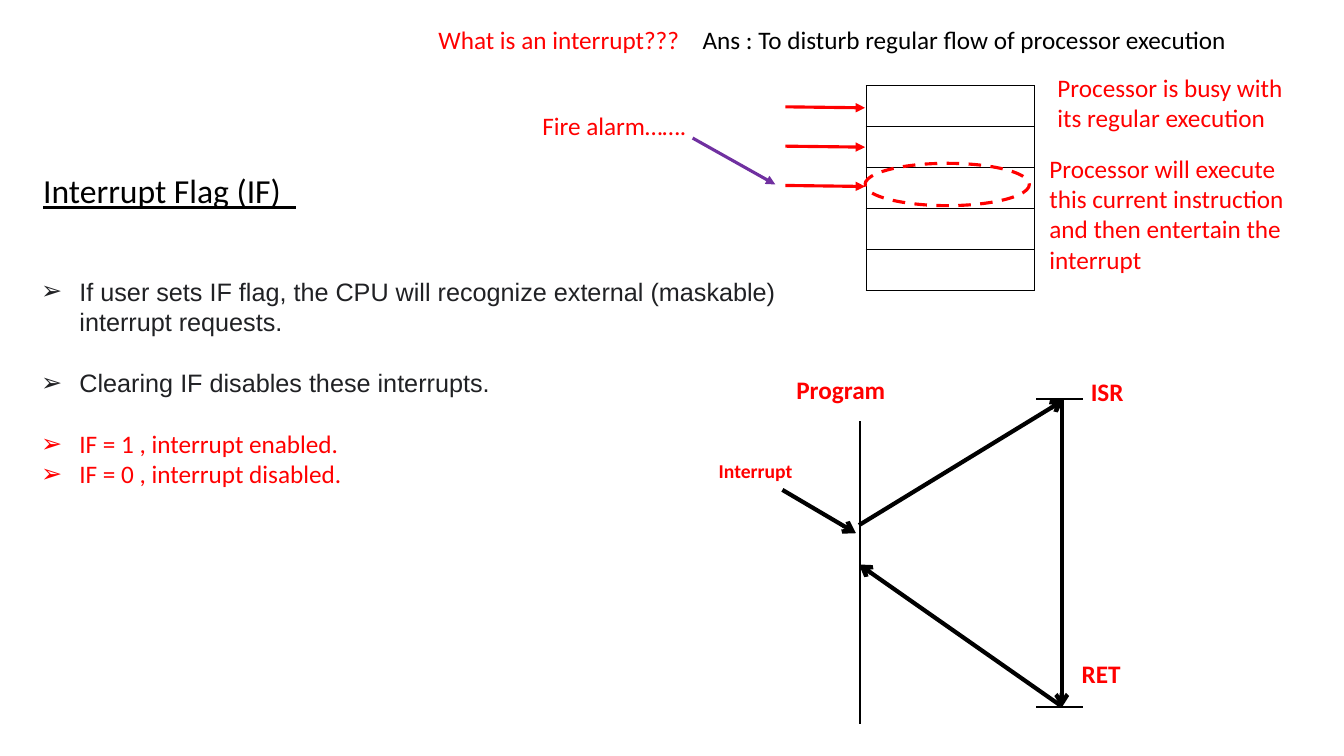
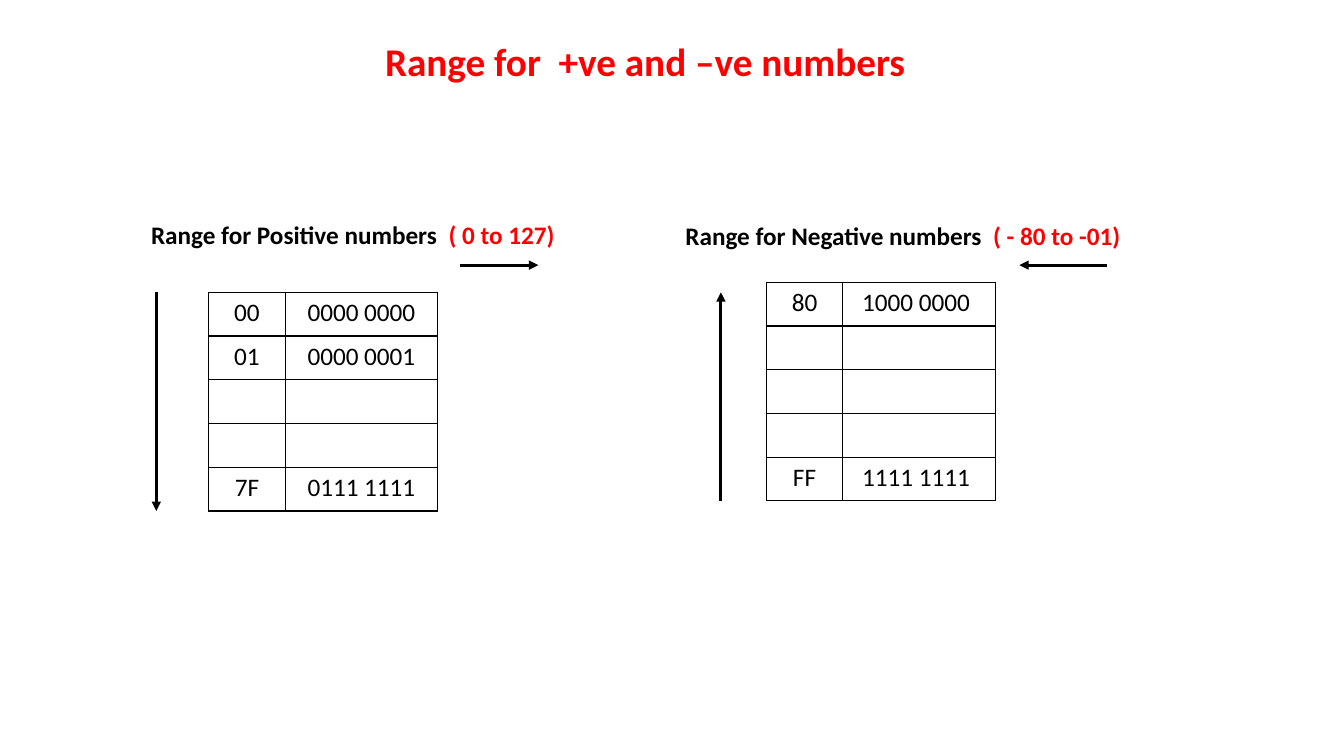
from lxml.etree import SubElement
from pptx import Presentation
from pptx.dml.color import RGBColor
from pptx.enum.dml import MSO_LINE
from pptx.enum.shapes import MSO_CONNECTOR, MSO_SHAPE
from pptx.enum.text import PP_ALIGN
from pptx.oxml.ns import qn
from pptx.util import Pt

PX = 9144  # EMU; 100 px to the inch
BLACK = RGBColor(0x00, 0x00, 0x00)
RED = RGBColor(0xFF, 0x00, 0x00)
PURPLE = RGBColor(0x70, 0x30, 0xA0)
CHARCOAL = RGBColor(0x20, 0x21, 0x24)
BODY_FONT = "Calibri"


def px(*lengths):
    return [length * PX for length in lengths]


def style(font, color=BLACK, size=18, bold=False, name=BODY_FONT):
    font.name, font.size, font.bold = name, Pt(size), bold
    font.color.rgb = color


def add_text(page, box, text, **look):
    """Place a one-paragraph text box and return its paragraph."""
    frame = page.shapes.add_textbox(*px(*box)).text_frame
    frame.word_wrap = True
    para = frame.paragraphs[0]
    para.text = text
    style(para.font, **look)
    return para


def add_line(page, start, end, color=BLACK, width=2.25, head=None):
    line = page.shapes.add_connector(MSO_CONNECTOR.STRAIGHT, *px(*start, *end))
    line.line.color.rgb = color
    line.line.width = Pt(width)
    if head:
        SubElement(line.line._get_or_add_ln(), qn("a:tailEnd"), type=head)
    SubElement(line._element.spPr, qn("a:effectLst"))


def add_borders(cell):
    properties = cell._tc.get_or_add_tcPr()
    for index, side in enumerate(("lnL", "lnR", "lnT", "lnB")):
        border = SubElement(properties, qn(f"a:{side}"), w=str(Pt(1)))
        fill = SubElement(border, qn("a:solidFill"))
        SubElement(fill, qn("a:srgbClr"), val=str(BLACK))
        properties.insert(index, border)


def add_grid(page, left, top, widths, height, rows):
    """Place a bordered, unfilled table with centred text and equal rows."""
    table = page.shapes.add_table(
        len(rows), len(widths), *px(left, top, sum(widths), height)).table
    table.first_row = table.horz_banding = False
    for column, width in zip(table.columns, widths):
        column.width = width * PX
    for row, texts in zip(table.rows, rows):
        row.height = height * PX // len(rows)
        for cell, text in zip(row.cells, texts):
            cell.fill.background()
            add_borders(cell)
            para = cell.text_frame.paragraphs[0]
            para.text = text
            para.alignment = PP_ALIGN.CENTER
            style(para.font)


def add_bullets(page, box, items):
    """Place bullets given as (text, colour, font name, space before)."""
    frame = page.shapes.add_textbox(*px(*box)).text_frame
    frame.word_wrap = True
    for index, (text, color, name, space) in enumerate(items):
        para = frame.add_paragraph() if index else frame.paragraphs[0]
        para.text = text
        para.space_before = Pt(space)
        style(para.font, color, name=name)
        properties = para._p.get_or_add_pPr()
        properties.set("marL", str(38 * PX))
        properties.set("indent", str(-38 * PX))
        bullet_font = SubElement(properties, qn("a:buFont"), typeface="Arial")
        bullet = SubElement(properties, qn("a:buChar"), char="➢")
        defaults = properties.find(qn("a:defRPr"))
        defaults.addprevious(bullet_font)
        defaults.addprevious(bullet)


def add_instruction_stack(page, left, top):
    """Instructions in memory, with the one that the alarm interrupts."""
    add_grid(page, left, top, [167], 203, [[""]] * 5)
    for row in range(3):
        y = top + 21 + row * 39
        add_line(page, (left - 80, y), (left - 1, y + 1), RED, head="triangle")
    add_line(page, (left - 172, top + 52), (left - 90, top + 98), PURPLE,
             head="triangle")
    add_text(page, (left - 331, top + 20, 175, 40), "Fire alarm…….", color=RED)
    current = page.shapes.add_shape(
        MSO_SHAPE.OVAL, *px(left - 1, top + 77, 163, 42))
    current.shadow.inherit = False
    current.fill.background()
    current.line.color.rgb = RED
    current.line.width = Pt(2.25)
    current.line.dash_style = MSO_LINE.DASH
    add_text(page, (left + 180, top - 18, 270, 71),
             "Processor is busy with its regular execution", color=RED)
    add_text(page, (left + 172, top + 62, 270, 131),
             "Processor will execute this current instruction "
             "and then entertain the interrupt", color=RED)


def add_service_flow(page, left, top):
    """Jump from the program to the service routine and back."""
    program, routine = left + 150, left + 350
    start, end = top + 30, top + 335
    call, resume = top + 155, top + 195
    add_line(page, (program, top + 52), (program, top + 352), width=1.5)
    for y in (start, end):
        add_line(page, (routine - 25, y), (routine + 21, y), width=1.5)
    for tail, tip in (
        ((program - 77, top + 120), (program - 4, top + 163)),
        ((program - 1, call), (routine + 2, start + 1)),
        ((routine, start - 1), (routine, end + 1)),
        ((routine - 1, end - 1), (program - 1, resume - 1)),
    ):
        add_line(page, tail, tip, width=3, head="arrow")
    for text, x, y, width, size in (
        ("Program", 77, 0, 203, 18),
        ("ISR", 369, 2, 122, 18),
        ("RET", 360, 282, 122, 18),
        ("Interrupt", 0, 84, 101, 14),
    ):
        add_text(page, (left + x, top + y, width, 42), text,
                 color=RED, size=size, bold=True)


def build_interrupt_page(page):
    title = add_text(page, (33, 164, 281, 50), "Interrupt Flag (IF)  ", size=24)
    title.font.underline = True
    add_text(page, (425, 19, 262, 40), "What is an interrupt???", color=RED)
    add_text(page, (687, 19, 622, 40),
             "Ans : To disturb regular flow of processor execution")
    add_instruction_stack(page, 859, 85)
    add_service_flow(page, 703, 366)
    add_bullets(page, (31, 269, 810, 222), [
        ("If user sets IF flag, the CPU will recognize external (maskable) "
         "interrupt requests.", CHARCOAL, "Arial", 0),
        ("Clearing IF disables these interrupts.", CHARCOAL, "Arial", 22),
        ("IF = 1 , interrupt enabled.", RED, BODY_FONT, 22),
        ("IF = 0 , interrupt disabled.", RED, BODY_FONT, 0),
    ])


def add_range(page, left, top, heading, grid, arrows, first, last):
    """Heading, five-row table and arrows, placed from the heading's corner."""
    label, limits = heading
    para = add_text(page, (left, top, 459, 40), label, bold=True)
    span = para.add_run()
    span.text = limits
    span.font.color.rgb = RED
    gap = [("", "")] * (5 - len(first) - len(last))
    add_grid(page, left + grid[0], top + grid[1], [76, 151], 217,
             first + gap + last)
    for x1, y1, x2, y2 in arrows:
        add_line(page, (left + x1, top + y1), (left + x2, top + y2),
                 head="triangle")


def build_range_page(page):
    add_text(page, (372, 32, 589, 57), "Range for  +ve and –ve numbers",
             color=RED, size=28, bold=True)
    add_range(
        page, 140, 213, ("Range for Positive numbers  ", "( 0 to 127)"),
        (67, 77), [(316, 50, 394, 50), (15, 77, 15, 294)],
        [("00", "0000 0000"), ("01", "0000 0001")], [("7F", "0111 1111")])
    add_range(
        page, 670, 214, ("Range for Negative numbers  ", "( - 80 to -01)"),
        (90, 66), [(428, 49, 341, 49), (45, 283, 45, 76)],
        [("80", "1000 0000 ")], [("FF", "1111 1111 ")])


def main():
    deck = Presentation()
    deck.slide_width, deck.slide_height = px(1333, 750)
    for build in (build_interrupt_page, build_range_page):
        build(deck.slides.add_slide(deck.slide_layouts[6]))
    deck.save("out.pptx")


if __name__ == "__main__":
    main()
